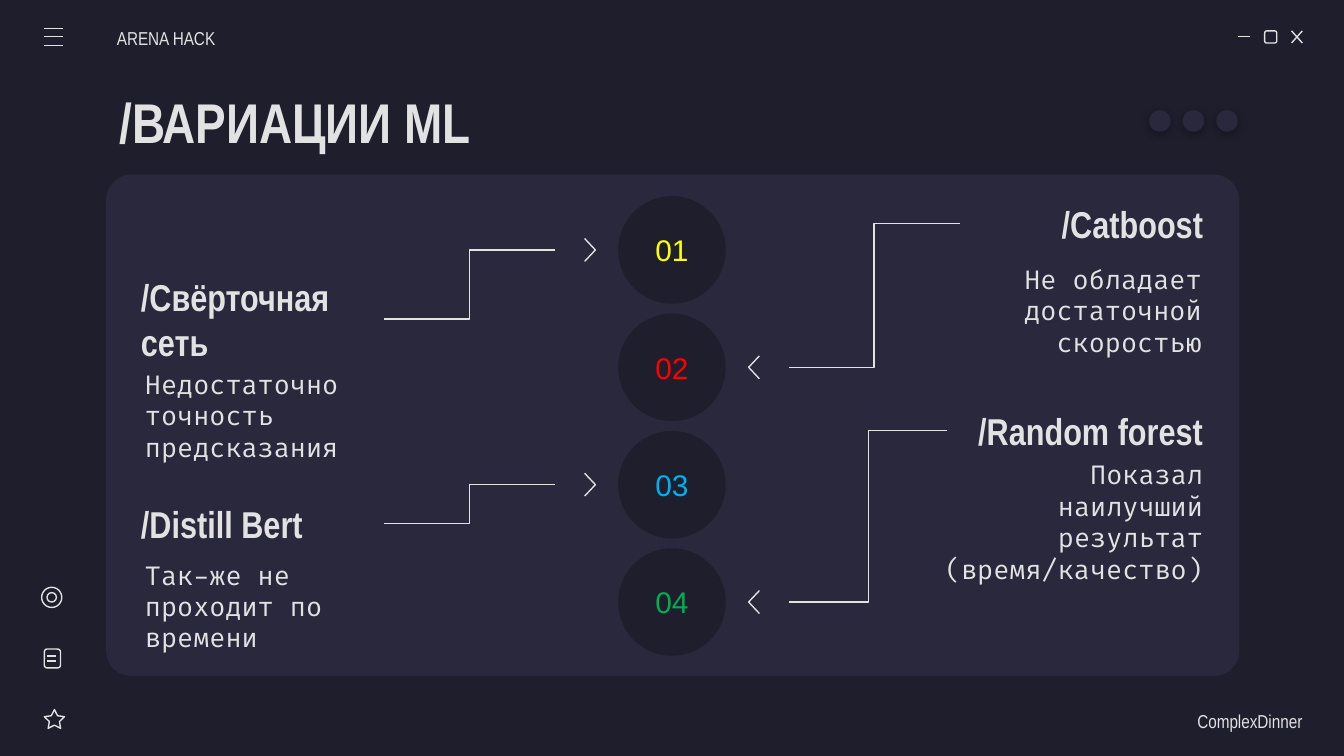
import dataclasses
import typing

import pptx
import pptx.dml.color
import pptx.enum.shapes
import pptx.enum.text
import pptx.oxml
import pptx.oxml.ns
import pptx.util

Inches = pptx.util.Inches
Shapes = pptx.enum.shapes.MSO_SHAPE
Connectors = pptx.enum.shapes.MSO_CONNECTOR
Align = pptx.enum.text.PP_ALIGN


@dataclasses.dataclass(frozen=True)
class Theme:
    background: str = "1E1E2C"
    panel: str = "29283D"
    light: str = "E2E2E2"
    line_width: float = 0.75
    label: typing.Mapping = dataclasses.field(
        default_factory=lambda: {"name": "Arial Narrow", "size": pptx.util.Pt(10)})
    title: typing.Mapping = dataclasses.field(
        default_factory=lambda: {"name": "Arial Narrow", "size": pptx.util.Pt(30), "bold": True})
    heading: typing.Mapping = dataclasses.field(
        default_factory=lambda: {"name": "Arial Narrow", "size": pptx.util.Pt(20), "bold": True})
    body: typing.Mapping = dataclasses.field(
        default_factory=lambda: {"name": "Fira Code", "size": pptx.util.Pt(14)})
    number: typing.Mapping = dataclasses.field(
        default_factory=lambda: {"name": "Arial", "size": pptx.util.Pt(16)})


class Box(typing.NamedTuple):
    left: float
    top: float
    width: float
    height: float


class Topic(typing.NamedTuple):
    color: str
    heading: str
    heading_box: Box
    body: str
    body_box: Box
    on_left: bool


THEME = Theme()
CIRCLE_LEFT, CIRCLE_TOP, CIRCLE_SIZE, CIRCLE_PITCH = 4.6, 1.46, 0.8, 2.62 / 3
CHEVRON_WIDTH, CHEVRON_HEIGHT = 0.08, 0.17

TOPICS = [
    Topic("FFFF00", "/Свёрточная сеть", Box(0.95, 2.16, 1.91, 0.43),
          "Недостаточно точность предсказания", Box(0.98, 2.73, 1.91, 0.72), True),
    Topic("FF0000", "/Catboost", Box(7.14, 1.45, 1.91, 0.43),
          "Не обладает достаточной скоростью", Box(7.13, 1.95, 1.91, 0.72), False),
    Topic("00B0F0", "/Distill Bert", Box(0.95, 3.68, 1.91, 0.43),
          "Так-же не проходит по времени", Box(0.98, 4.15, 1.91, 0.72), True),
    Topic("00B050", "/Random forest", Box(7.05, 2.99, 2, 0.43),
          "Показал наилучший результат (время/качество)", Box(6.89, 3.52, 2.16, 0.72), False),
]
ICON_LINES = [
    (9.21, 0.27, 9.3, 0.27), (9.61, 0.23, 9.69, 0.32), (9.69, 0.23, 9.61, 0.32),
    *[(0.33, y, 0.47, y) for y in (0.21, 0.27, 0.34)],
    *[(0.35, y, 0.42, y) for y in (4.88, 4.92)],
]
ICON_OUTLINES = [
    (Shapes.ROUNDED_RECTANGLE, Box(9.41, 0.23, 0.09, 0.09)),
    (Shapes.STAR_5_POINT, Box(0.33, 5.28, 0.15, 0.14)),
    (Shapes.ROUNDED_RECTANGLE, Box(0.33, 4.83, 0.12, 0.14)),
    (Shapes.OVAL, Box(0.31, 4.37, 0.15, 0.15)),
    (Shapes.OVAL, Box(0.35, 4.41, 0.07, 0.07)),
]


def rgb(color: str) -> pptx.dml.color.RGBColor:
    return pptx.dml.color.RGBColor.from_string(color)


def style_line(line) -> None:
    line.color.rgb = rgb(THEME.light)
    line.width = pptx.util.Pt(THEME.line_width)


def add_shape(slide, kind, box: Box, fill: typing.Optional[str] = None):
    shape = slide.shapes.add_shape(kind, *map(Inches, box))
    shape.shadow.inherit = False
    if fill:
        shape.fill.solid()
        shape.fill.fore_color.rgb = rgb(fill)
        shape.line.fill.background()
    else:
        shape.fill.background()
        style_line(shape.line)
    return shape


def write_text(shape, text: str, font_values: typing.Mapping, align=Align.LEFT,
               color: str = THEME.light, insets: tuple = (0.1, 0.1), spacing: float = 1.0) -> None:
    frame = shape.text_frame
    frame_values = {
        "word_wrap": True, "vertical_anchor": pptx.enum.text.MSO_ANCHOR.MIDDLE,
        "margin_left": Inches(insets[0]), "margin_right": Inches(insets[1]),
        "margin_top": Inches(0.1), "margin_bottom": Inches(0.1),
    }
    for name, value in frame_values.items():
        setattr(frame, name, value)
    paragraph = frame.paragraphs[0]
    paragraph.alignment = align
    paragraph.line_spacing = spacing
    run = paragraph.add_run()
    run.text = text
    for name, value in font_values.items():
        setattr(run.font, name, value)
    run.font.color.rgb = rgb(color)


def add_text(slide, box: Box, text: str, font_values: typing.Mapping, **options):
    shape = slide.shapes.add_textbox(*map(Inches, box))
    write_text(shape, text, font_values, **options)
    return shape


def add_connector(slide, kind, points: tuple):
    connector = slide.shapes.add_connector(kind, *map(Inches, points))
    style_line(connector.line)
    properties = connector._element.spPr
    properties.append(pptx.oxml.parse_xml(
        f"<a:effectLst {pptx.oxml.ns.nsdecls('a')}/>"))
    return connector


def add_chevron(slide, tail: float, tip: float, middle: float) -> None:
    half = CHEVRON_HEIGHT / 2
    builder = slide.shapes.build_freeform(Inches(tail), Inches(middle - half))
    builder.add_line_segments(
        [(Inches(tip), Inches(middle)), (Inches(tail), Inches(middle + half))], close=False)
    shape = builder.convert_to_shape()
    shape.shadow.inherit = False
    shape.fill.background()
    style_line(shape.line)


def add_soft_dot(slide, box: Box) -> None:
    shape = add_shape(slide, Shapes.OVAL, box, THEME.panel)
    effects = shape._element.spPr.find(pptx.oxml.ns.qn("a:effectLst"))
    effects.append(pptx.oxml.parse_xml(
        f'<a:outerShdw {pptx.oxml.ns.nsdecls("a")} blurRad="57150" dist="19050" dir="5400000" '
        'algn="bl" rotWithShape="0"><a:srgbClr val="000000"><a:alpha val="30000"/>'
        '</a:srgbClr></a:outerShdw>'))


def add_topic(slide, index: int, topic: Topic) -> None:
    top = CIRCLE_TOP + index * CIRCLE_PITCH
    middle = top + CIRCLE_SIZE / 2
    circle = add_shape(slide, Shapes.OVAL, Box(CIRCLE_LEFT, top, CIRCLE_SIZE, CIRCLE_SIZE),
                       THEME.background)
    write_text(circle, f"{index + 1:02d}", THEME.number, align=Align.CENTER, color=topic.color)

    align = Align.LEFT if topic.on_left else Align.RIGHT
    heading = add_text(slide, topic.heading_box, topic.heading, THEME.heading, align=align)
    add_text(slide, topic.body_box, topic.body, THEME.body, align=align)

    box = topic.heading_box
    start = box.left + box.width if topic.on_left else box.left
    end, tail, direction = (4.13, 4.35, 1) if topic.on_left else (5.87, 5.65, -1)
    connector = add_connector(slide, Connectors.ELBOW,
                              (start, box.top + box.height / 2, end, middle))
    connector.begin_connect(heading, 3 if topic.on_left else 1)
    add_chevron(slide, tail, tail + direction * CHEVRON_WIDTH, middle)


def main() -> None:
    presentation = pptx.Presentation()
    presentation.slide_width = Inches(10)
    presentation.slide_height = Inches(10 * 9 / 16)
    slide = presentation.slides.add_slide(presentation.slide_layouts[6])
    slide.background.fill.solid()
    slide.background.fill.fore_color.rgb = rgb(THEME.background)

    panel = add_shape(slide, Shapes.ROUNDED_RECTANGLE, Box(0.79, 1.3, 8.43, 3.73), THEME.panel)
    panel.adjustments[0] = 0.05
    for points in ICON_LINES:
        add_connector(slide, Connectors.STRAIGHT, points)
    for kind, box in ICON_OUTLINES:
        icon = add_shape(slide, kind, box)
        if kind == Shapes.STAR_5_POINT:
            icon.adjustments[0] = 0.25

    add_text(slide, Box(0.87, 0.12, 1.17, 0.3), "ARENA HACK", THEME.label,
             insets=(0, 0.1), spacing=1.15)
    add_text(slide, Box(8.52, 5.2, 1.17, 0.3), "ComplexDinner", THEME.label,
             align=Align.RIGHT, insets=(0.1, 0), spacing=1.15)
    add_text(slide, Box(0.79, 0.59, 7.88, 0.63), "/ВАРИАЦИИ ML", THEME.title)
    for index, topic in enumerate(TOPICS):
        add_topic(slide, index, topic)
    for index in range(3):
        add_soft_dot(slide, Box(8.55 + index * 0.25, 0.82, 0.16, 0.16))
    presentation.save("out.pptx")


if __name__ == "__main__":
    main()
